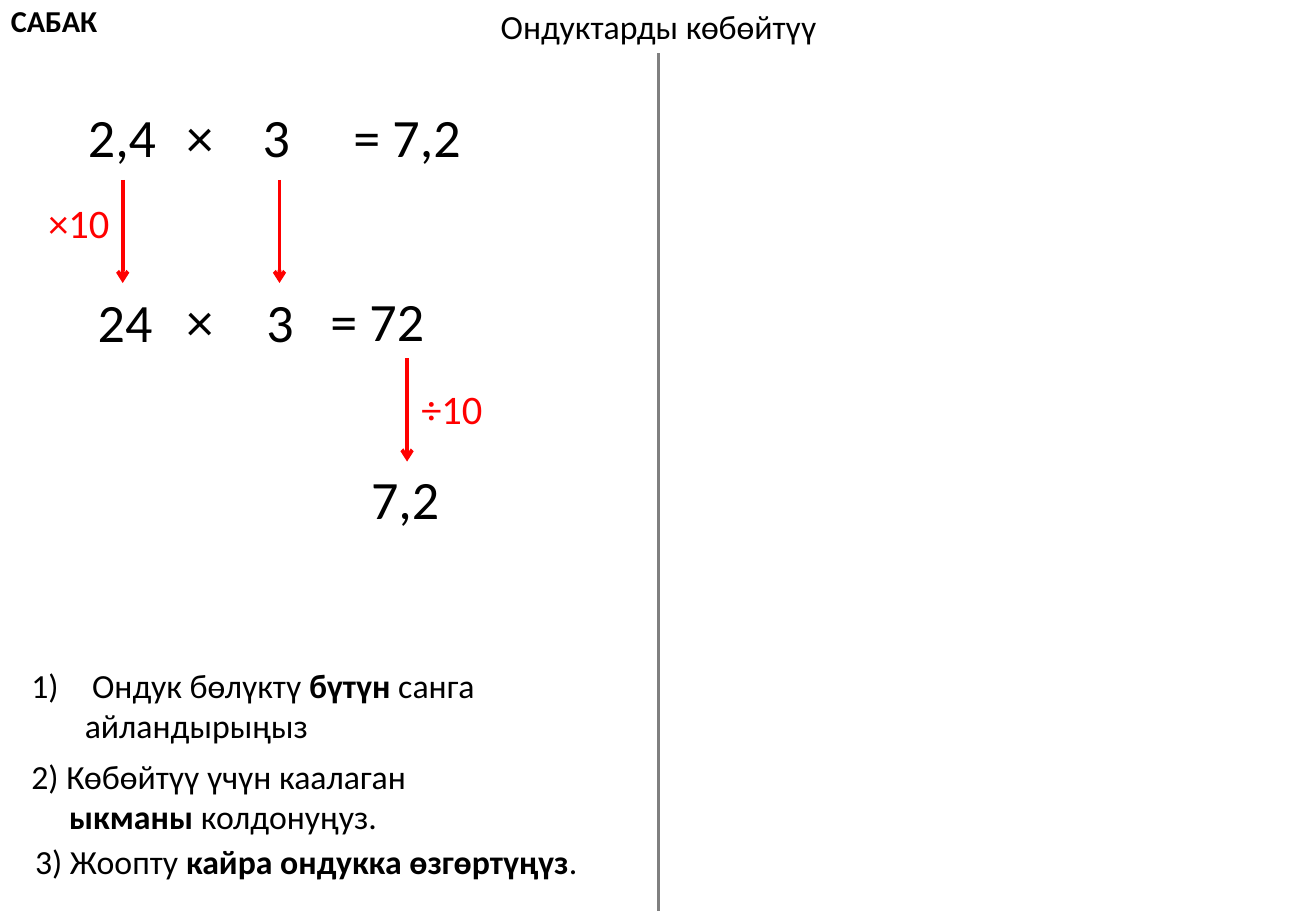
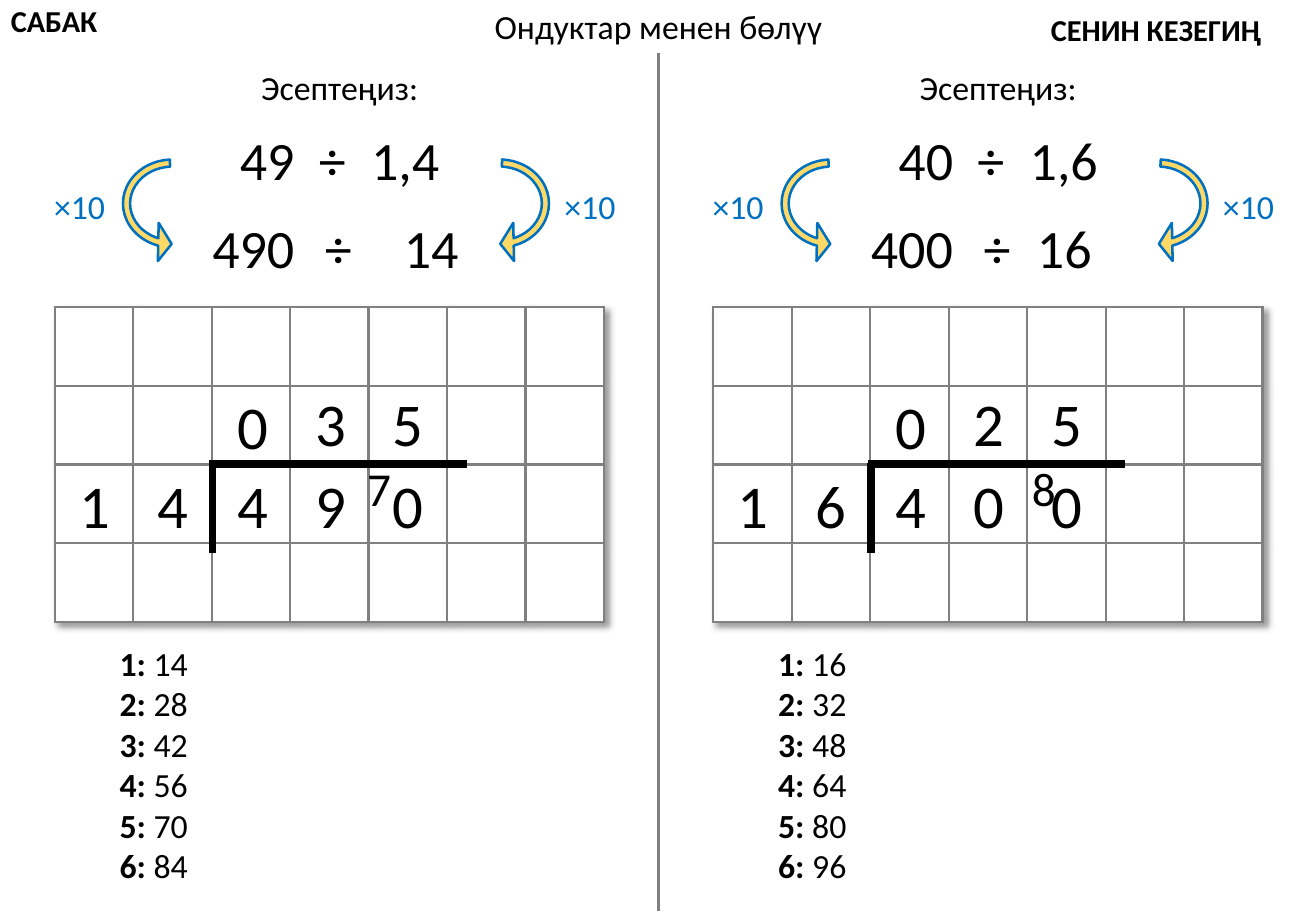
from lxml.etree import SubElement
from pptx import Presentation
from pptx.dml.color import RGBColor
from pptx.enum.shapes import MSO_CONNECTOR, MSO_SHAPE
from pptx.enum.text import MSO_ANCHOR, MSO_AUTO_SIZE, PP_ALIGN
from pptx.oxml import parse_xml
from pptx.oxml.ns import nsdecls, qn
from pptx.util import Inches, Pt

BLACK = RGBColor(0x00, 0x00, 0x00)
WHITE = RGBColor(0xFF, 0xFF, 0xFF)
GRAY = RGBColor(0x80, 0x80, 0x80)
RED = RGBColor(0xFF, 0x00, 0x00)
BLUE = RGBColor(0x00, 0x70, 0xC0)
GOLD = RGBColor(0xFF, 0xD9, 0x66)
FONT = "Calibri"
MIDDLE = 5.42
HALF_SHIFT = 5.42
COLUMNS, ROWS = 7, 4
GRID_WIDTH, GRID_HEIGHT = 4.52, 2.59
DIGIT_LEFTS = (0.55, 1.19, 1.85, 2.49, 3.13)
BORDER = (
    '<a:{side} {namespace} w="19050"><a:solidFill>'
    '<a:srgbClr val="{color}"/></a:solidFill></a:{side}>'
)
TABLE_SHADOW = (
    f'<a:effectLst {nsdecls("a")}><a:outerShdw blurRad="50800" dist="38100" '
    'dir="2700000" algn="tl" rotWithShape="0"><a:srgbClr val="000000">'
    '<a:alpha val="40000"/></a:srgbClr></a:outerShdw></a:effectLst>'
)


def write(page, text, left=0, top=0, width=1, frame=None, size=32, color=BLACK,
          bold=False, align=PP_ALIGN.CENTER, indents=(), numbered=False):
    lines = text.split("\n")
    if frame is None:
        height = len(lines) * size * 1.22 / 72 + 0.1
        box = page.shapes.add_textbox(Inches(left), Inches(top), Inches(width), Inches(height))
        frame = box.text_frame
    frame.word_wrap = False
    frame.auto_size = MSO_AUTO_SIZE.SHAPE_TO_FIT_TEXT
    for number, line in enumerate(lines):
        para = frame.add_paragraph() if number else frame.paragraphs[0]
        para.alignment = align
        if indents:
            properties = para._p.get_or_add_pPr()
            properties.set("marL", str(Inches(indents[number])))
            if numbered and number == 0:
                properties.set("indent", str(-Inches(indents[number])))
                SubElement(properties, qn("a:buAutoNum")).set("type", "arabicParenR")
        for index, piece in enumerate(line.split("*")):
            if piece:
                span = para.add_run()
                span.text = piece
                span.font.name = FONT
                span.font.size = Pt(size)
                span.font.bold = bold or index % 2 == 1
                span.font.color.rgb = color


def draw_line(page, start, end, color, weight=2.25, arrow=False):
    line = page.shapes.add_connector(
        MSO_CONNECTOR.STRAIGHT, *(Inches(value) for value in (*start, *end)))
    line.line.color.rgb = color
    line.line.width = Pt(weight)
    if arrow:
        SubElement(line.line._get_or_add_ln(), qn("a:tailEnd")).set("type", "arrow")
    SubElement(line._element.spPr, qn("a:effectLst"))


deck = Presentation()
deck.slide_width = Inches(10.83)
deck.slide_height = Inches(7.5)

pages = []
for heading in ("Ондуктарды көбөйтүү", "Ондуктар менен бөлүү"):
    page = deck.slides.add_slide(deck.slide_layouts[5])
    title = page.shapes.title
    title.left, title.top = Inches(MIDDLE - 1.47), Inches(0)
    title.width, title.height = Inches(2.94), Inches(0.44)
    title.text_frame.vertical_anchor = MSO_ANCHOR.TOP
    write(page, heading, frame=title.text_frame, size=20)
    draw_line(page, (MIDDLE, 0.44), (MIDDLE, 7.5), GRAY)
    write(page, "САБАК", -0.01, -0.03, 1.01, size=18, bold=True, align=PP_ALIGN.LEFT)
    pages.append(page)
multiplication, division = pages

for text, left, top, width in (
    ("2,4", 0.62, 0.8, 0.77),
    ("×", 1.43, 0.8, 0.43),
    ("3", 2.06, 0.8, 0.43),
    ("24", 0.7, 2.33, 0.66),
    ("×", 1.43, 2.32, 0.43),
    ("3", 2.09, 2.33, 0.43),
    ("7,2", 2.95, 3.78, 0.77),
):
    write(multiplication, text, left, top, width)
write(multiplication, "= 7,2", 2.81, 0.8, 1.1, align=PP_ALIGN.LEFT)
write(multiplication, "= 72", 2.62, 2.32, 0.98, align=PP_ALIGN.LEFT)

for left, top in ((1.01, 1.48), (2.3, 1.48), (3.35, 2.95)):
    draw_line(multiplication, (left, top), (left, top + 0.85), RED, arrow=True)
for text, left, top in (("×10", 0.29, 1.58), ("÷10", 3.36, 3.11)):
    write(multiplication, text, left, top, 0.71, size=24, color=RED, align=PP_ALIGN.RIGHT)

for text, left, top, width, indents, numbered in (
    ("Ондук бөлүктү *бүтүн* санга\nайландырыңыз", 0.16, 5.42, 3.93, (0.5, 0.44), True),
    ("2) Көбөйтүү үчүн каалаган\n*ыкманы* колдонуңуз.", 0.16, 6.17, 3.38, (0, 0.31), False),
    ("3) Жоопту *кайра ондукка өзгөртүңүз*.", 0.19, 6.87, 4.7, (), False),
):
    write(multiplication, text, left, top, width, size=20, align=PP_ALIGN.LEFT,
          indents=indents, numbered=numbered)

write(division, "СЕНИН КЕЗЕГИҢ", 8.55, 0.04, 2.27, size=18, bold=True, align=PP_ALIGN.LEFT)

for shift, dividend, divisor, whole_divisor, divisor_left, quotient, carry, carry_left in (
    (0, "49", "1,4", 14, 3.22, "035", "7", 2.92),
    (HALF_SHIFT, "40", "1,6", 16, 3.01, "025", "8", 2.97),
):
    whole_dividend = dividend + "0"
    write(division, "Эсептеңиз:", shift + 2.04, 0.5, 1.51, size=20)
    for text, left, top, width in (
        (dividend, 1.87, 0.99, 0.66),
        ("÷", 2.52, 0.99, 0.43),
        (divisor, 2.95, 0.99, 0.77),
        (whole_dividend, 1.64, 1.72, 0.89),
        ("÷", 2.57, 1.72, 0.43),
        (str(whole_divisor), divisor_left, 1.72, 0.66),
    ):
        write(division, text, shift + left, top, width)

    for arrow_left, label_left, flipped in ((0.93, 0.34, True), (3.62, 4.54, False)):
        arrow = division.shapes.add_shape(
            MSO_SHAPE.CIRCULAR_ARROW, Inches(shift + arrow_left), Inches(1.14),
            Inches(0.98), Inches(1.07))
        for index, value in enumerate((0.06, 11.42, 203.85, 110.16, 0.16)):
            arrow.adjustments[index] = value
        arrow.rotation = 90
        if flipped:
            arrow._element.spPr.find(qn("a:xfrm")).set("flipV", "1")
        arrow.shadow.inherit = False
        arrow.fill.solid()
        arrow.fill.fore_color.rgb = GOLD
        arrow.line.color.rgb = BLUE
        arrow.line.width = Pt(1.5)
        write(division, "×10", shift + label_left, 1.48, 0.63, size=20, color=BLUE)

    grid = division.shapes.add_table(
        ROWS, COLUMNS, Inches(shift + 0.45), Inches(2.53),
        Inches(GRID_WIDTH), Inches(GRID_HEIGHT)).table
    grid.first_row = False
    grid.horz_banding = False
    grid._tbl.tblPr.insert(0, parse_xml(TABLE_SHADOW))
    for cell in grid.iter_cells():
        for side in ("lnL", "lnR", "lnT", "lnB"):
            cell._tc.get_or_add_tcPr().append(parse_xml(
                BORDER.format(side=side, namespace=nsdecls("a"), color=GRAY)))
        cell.fill.solid()
        cell.fill.fore_color.rgb = WHITE

    draw_line(division, (shift + 1.72, 3.82), (shift + 3.84, 3.82), BLACK, 4.5)
    draw_line(division, (shift + 1.75, 3.81), (shift + 1.75, 4.55), BLACK, 4.5)
    for digit, left, top in zip(quotient, DIGIT_LEFTS[2:], (3.15, 3.13, 3.13)):
        write(division, digit, shift + left, top, 0.46, size=36)
    for digit, left in zip(f"{whole_divisor}{whole_dividend}", DIGIT_LEFTS):
        write(division, digit, shift + left, 3.8, 0.46, size=36)
    write(division, carry, shift + carry_left, 3.73, 0.4, size=28)
    multiples = "\n".join(f"*{factor}:* {factor * whole_divisor}" for factor in range(1, 7))
    write(division, multiples, shift + 0.88, 5.24, 0.77, size=20)

deck.save("out.pptx")
